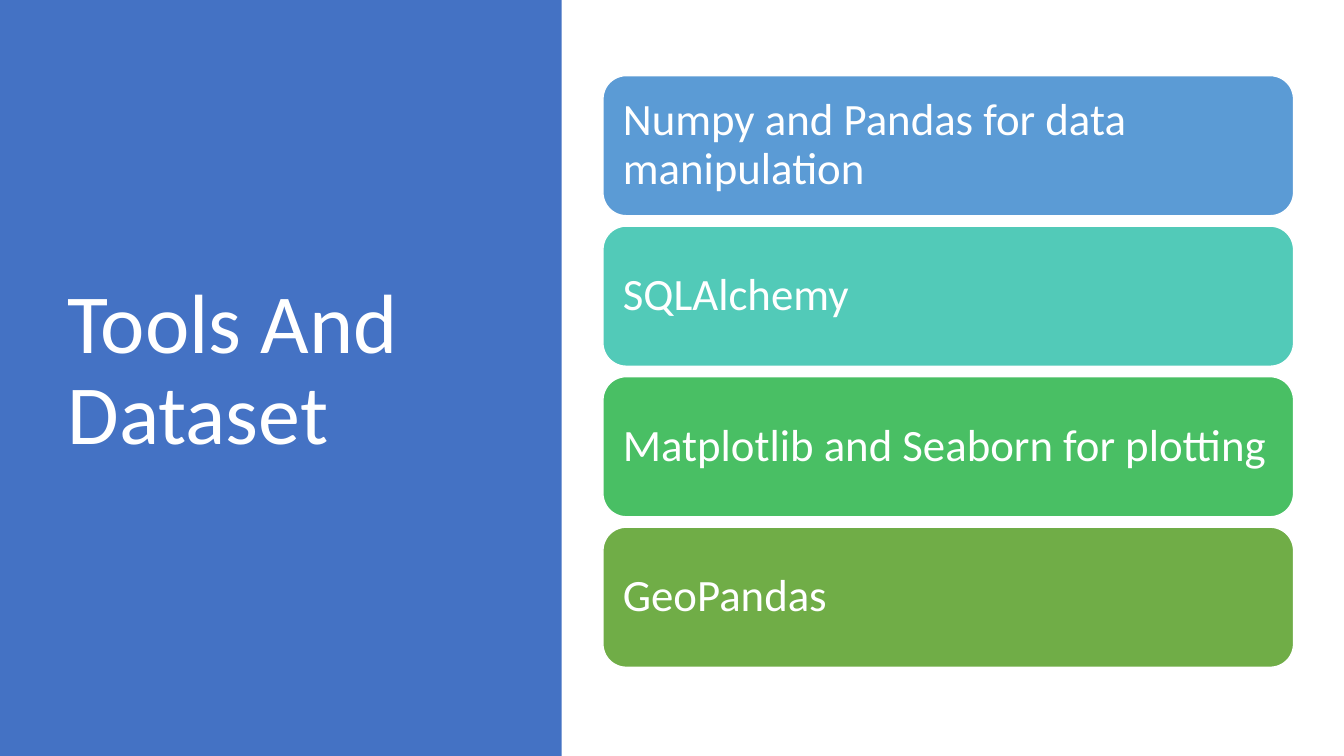
from pptx import Presentation
from pptx.dml.color import RGBColor
from pptx.enum.shapes import MSO_SHAPE
from pptx.enum.text import MSO_ANCHOR, PP_ALIGN
from pptx.util import Inches, Pt

RECTANGLE = MSO_SHAPE.RECTANGLE
ROUNDED = MSO_SHAPE.ROUNDED_RECTANGLE
MIDDLE = MSO_ANCHOR.MIDDLE
LEFT = PP_ALIGN.LEFT

WHITE = RGBColor(0xFF, 0xFF, 0xFF)
PANEL_BLUE = RGBColor(0x44, 0x72, 0xC4)
SKY = RGBColor(0x5B, 0x9B, 0xD5)
TEAL = RGBColor(0x52, 0xCA, 0xB8)
GREEN = RGBColor(0x49, 0xBF, 0x64)
OLIVE = RGBColor(0x70, 0xAD, 0x47)

FONT = "Calibri"
SLIDE_WIDTH, SLIDE_HEIGHT = 13.33, 7.5
PANEL_WIDTH = 5.57

# Card column: equal cards spread from top to bottom
CARD_LEFT, CARD_WIDTH, CARD_HEIGHT = 5.98, 6.85, 1.39
CARDS_TOP, CARDS_BOTTOM = 0.75, 6.62
CARD_INSET = 0.13

TOOLS = [
    ("Numpy and Pandas for data manipulation", SKY),
    ("SQLAlchemy", TEAL),
    ("Matplotlib and Seaborn for plotting", GREEN),
    ("GeoPandas", OLIVE),
]


def write_text(shape, text, size):
    frame = shape.text_frame
    frame.word_wrap = True
    frame.vertical_anchor = MIDDLE
    para = frame.paragraphs[0]
    para.text = text
    para.alignment = LEFT
    para.line_spacing = 0.9
    para.font.name = FONT
    para.font.size = Pt(size)
    para.font.color.rgb = WHITE
    return frame


def add_block(page, kind, left, top, width, height, color):
    block = page.shapes.add_shape(
        kind, Inches(left), Inches(top), Inches(width), Inches(height))
    block.shadow.inherit = False
    block.fill.solid()
    block.fill.fore_color.rgb = color
    block.line.fill.background()
    return block


def add_title(page, text):
    box = page.shapes.add_textbox(
        Inches(0.57), Inches(0.68), Inches(4.16), Inches(6.02))
    write_text(box, text, 60)


def add_card(page, top, text, color):
    card = add_block(page, ROUNDED, CARD_LEFT, top, CARD_WIDTH, CARD_HEIGHT, color)
    card.line.color.rgb = WHITE
    card.line.width = Pt(1)
    frame = write_text(card, text, 32)
    frame.margin_left = frame.margin_right = Inches(CARD_INSET)
    frame.margin_top = frame.margin_bottom = Inches(CARD_INSET)


def main():
    deck = Presentation()
    deck.slide_width = Inches(SLIDE_WIDTH)
    deck.slide_height = Inches(SLIDE_HEIGHT)
    page = deck.slides.add_slide(deck.slide_layouts[6])

    # Title panel
    add_block(page, RECTANGLE, 0, 0, PANEL_WIDTH, SLIDE_HEIGHT, PANEL_BLUE)
    add_title(page, "Tools And Dataset")

    # Tool cards
    step = (CARDS_BOTTOM - CARDS_TOP - CARD_HEIGHT) / (len(TOOLS) - 1)
    for row, (text, color) in enumerate(TOOLS):
        add_card(page, CARDS_TOP + row * step, text, color)

    deck.save("out.pptx")


if __name__ == "__main__":
    main()
